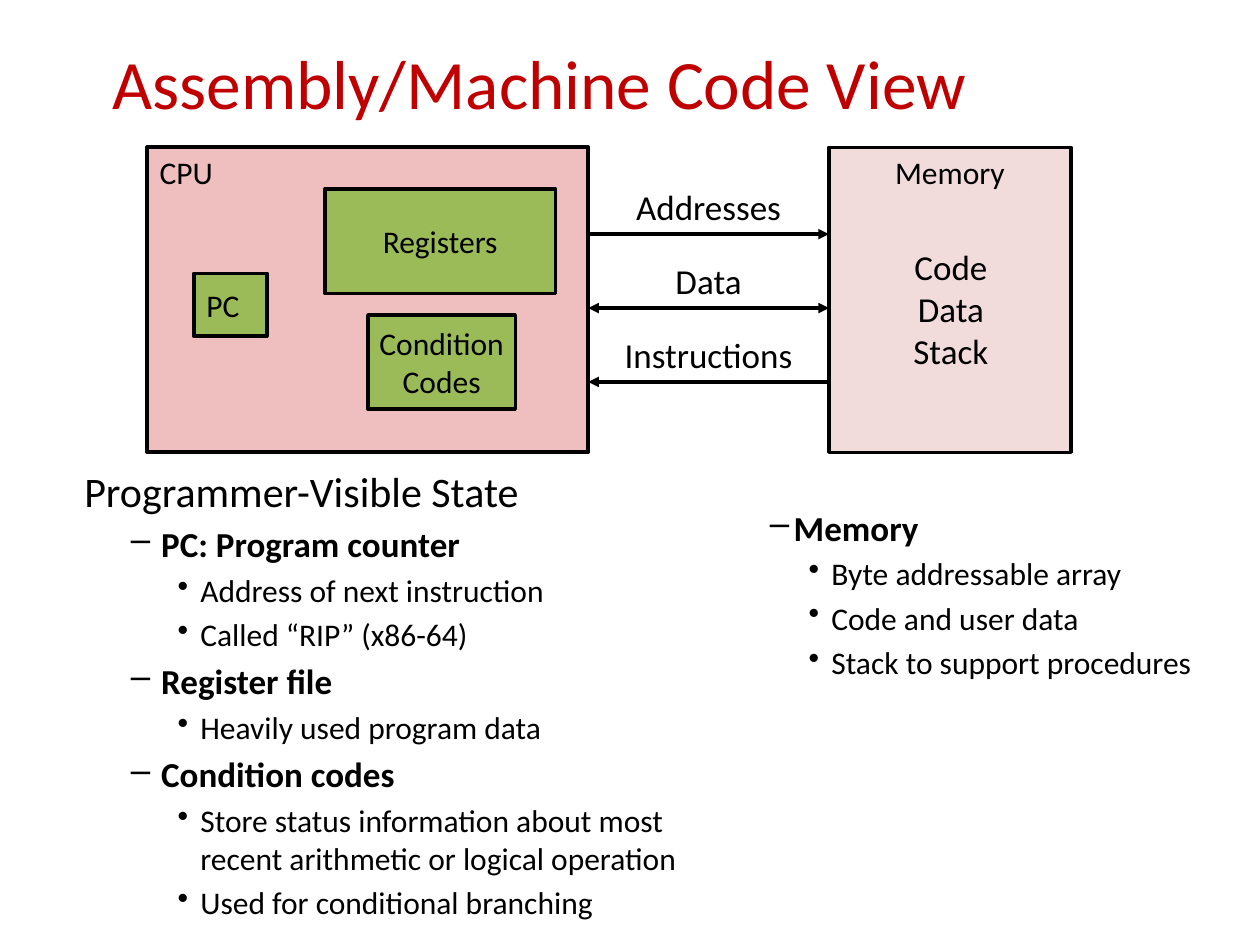
from typing import NamedTuple

from lxml import etree
from pptx import Presentation, util as u
from pptx.dml.color import RGBColor
from pptx.enum import shapes, text
from pptx.oxml.ns import qn

FONT = "Calibri"
HUES = {"ink": "000000", "title": "C00000", "cpu": "EFBFBF",
        "unit": "9BBB59", "memory": "F2DCDB", "paper": "FFFFFF"}
LEFT, MID = text.PP_ALIGN.LEFT, text.PP_ALIGN.CENTER
TOP, CORE = text.MSO_ANCHOR.TOP, text.MSO_ANCHOR.MIDDLE


class Area(NamedTuple):
    x: float
    y: float
    w: float
    h: float


class Block(NamedTuple):
    words: str
    area: Area
    fill: str
    align: int = MID
    anchor: int = CORE
    line: float = 2


class Label(NamedTuple):
    words: str
    area: Area
    size: float = 20
    hue: str = "ink"


class Bus(NamedTuple):
    words: str
    ends: tuple[str, ...]


class Level(NamedTuple):
    size: float
    bold: bool
    mark: str
    left: float
    hang: float


class Notes(NamedTuple):
    area: Area
    levels: tuple[Level, ...]
    items: tuple[tuple[int, str], ...]
    fill: str = ""


CPU = Area(2.97, 2.97, 8.89, 6.15)
MEMORY = Area(16.71, 2.97, 4.88, 6.15)

BLOCKS = (
    Block("CPU", CPU, "cpu", LEFT, TOP, 2.25),
    Block("PC", Area(3.91, 5.51, 1.47, 1.27), "unit", LEFT),
    Block("Registers", Area(6.55, 3.81, 4.65, 2.11), "unit"),
    Block("Condition\nCodes", Area(7.42, 6.35, 2.97, 1.9), "unit"),
    Block("Memory", MEMORY, "memory", MID, TOP),
)
LABELS = (
    Label("Assembly/Machine Code View", Area(0.84, 0.84, 20.07, 1.6), 39.6, "title"),
    Label("Code\nData\nStack", Area(17.58, 4.8, 3.18, 2.82)),
)
BUSES = (
    Bus("Addresses", ("tailEnd",)),
    Bus("Data", ("headEnd", "tailEnd")),
    Bus("Instructions", ("headEnd",)),
)
BUS_TOP, BUS_STEP, BUS_RISE = 4.72, 1.49, 1.1

STATE = Notes(
    Area(1.45, 9.25, 13.49, 9.73),
    (Level(24, False, "", 0.64, 0.64), Level(20, True, "–", 1.55, 0.61),
     Level(18, False, "•", 2.34, 0.46)),
    ((0, "Programmer-Visible State"),
     (1, "PC: Program counter"),
     (2, "Address of next instruction"),
     (2, "Called “RIP” (x86-64)"),
     (1, "Register file"),
     (2, "Heavily used program data"),
     (1, "Condition codes"),
     (2, "Store status information about most recent arithmetic or logical operation"),
     (2, "Used for conditional branching")),
    "paper",
)
STORE = Notes(
    Area(14.94, 10.08, 10.06, 4.37),
    (Level(20, True, "–", 0.81, 0.48), Level(18, False, "•", 1.57, 0.46)),
    ((0, "Memory"),
     (1, "Byte addressable array"),
     (1, "Code and user data"),
     (1, "Stack to support procedures")),
)


def tint(name: str) -> RGBColor:
    return RGBColor.from_string(HUES[name])


def place(area: Area) -> list[u.Cm]:
    return [u.Cm(side) for side in area]


def style(para, size: float, hue: str = "ink", bold: bool = False) -> None:
    for run in para.runs:
        run.font.name = FONT
        run.font.size = u.Pt(size)
        run.font.bold = bold
        run.font.color.rgb = tint(hue)


def write(frame, words: str, size: float, hue: str, align: int) -> None:
    frame.text = words
    for para in frame.paragraphs:
        para.alignment = align
        style(para, size, hue)


def draw_block(slide, block: Block) -> None:
    shape = slide.shapes.add_shape(shapes.MSO_SHAPE.RECTANGLE, *place(block.area))
    shape.shadow.inherit = False
    shape.fill.solid()
    shape.fill.fore_color.rgb = tint(block.fill)
    shape.line.color.rgb = tint("ink")
    shape.line.width = u.Pt(block.line)
    frame = shape.text_frame
    frame.word_wrap = block.align == LEFT
    frame.vertical_anchor = block.anchor
    write(frame, block.words, 18, "ink", block.align)


def draw_label(slide, label: Label) -> None:
    frame = slide.shapes.add_textbox(*place(label.area)).text_frame
    frame.word_wrap = True
    frame.vertical_anchor = CORE
    write(frame, label.words, label.size, label.hue, MID)


def draw_bus(slide, bus: Bus, y: float) -> None:
    """Draw an arrow between CPU and memory with its label above."""
    start = CPU.x + CPU.w
    line = slide.shapes.add_connector(
        shapes.MSO_CONNECTOR.STRAIGHT,
        u.Cm(start), u.Cm(y), u.Cm(MEMORY.x), u.Cm(y))
    line.line.color.rgb = tint("ink")
    line.line.width = u.Pt(2)
    stroke = line.line._get_or_add_ln()
    for end in bus.ends:
        etree.SubElement(stroke, qn(f"a:{end}"), type="triangle")
    etree.SubElement(line._element.spPr, qn("a:effectLst"))
    area = Area(start, y - BUS_RISE, MEMORY.x - start, 1.09)
    draw_label(slide, Label(bus.words, area))


def indent(para, level: Level) -> None:
    props = para._p.get_or_add_pPr()
    props.set("marL", str(int(u.Cm(level.left))))
    props.set("indent", str(-int(u.Cm(level.hang))))
    if level.mark:
        etree.SubElement(props, qn("a:buChar"), char=level.mark)


def draw_notes(slide, notes: Notes) -> None:
    box = slide.shapes.add_textbox(*place(notes.area))
    if notes.fill:
        box.fill.solid()
        box.fill.fore_color.rgb = tint(notes.fill)
    frame = box.text_frame
    frame.word_wrap = True
    frame.text = "\n".join(words for _, words in notes.items)
    for rank, (para, (depth, _)) in enumerate(zip(frame.paragraphs, notes.items)):
        level = notes.levels[depth]
        indent(para, level)
        if rank:
            para.space_before = u.Pt(level.size * 0.2)
        style(para, level.size, bold=level.bold)


def main() -> None:
    deck = Presentation()
    deck.slide_width, deck.slide_height = u.Cm(25.4), u.Cm(19.05)
    slide = deck.slides.add_slide(deck.slide_layouts[6])
    for block in BLOCKS:
        draw_block(slide, block)
    for label in LABELS:
        draw_label(slide, label)
    for rank, bus in enumerate(BUSES):
        draw_bus(slide, bus, BUS_TOP + rank * BUS_STEP)
    for notes in (STATE, STORE):
        draw_notes(slide, notes)
    deck.save("out.pptx")


if __name__ == "__main__":
    main()
